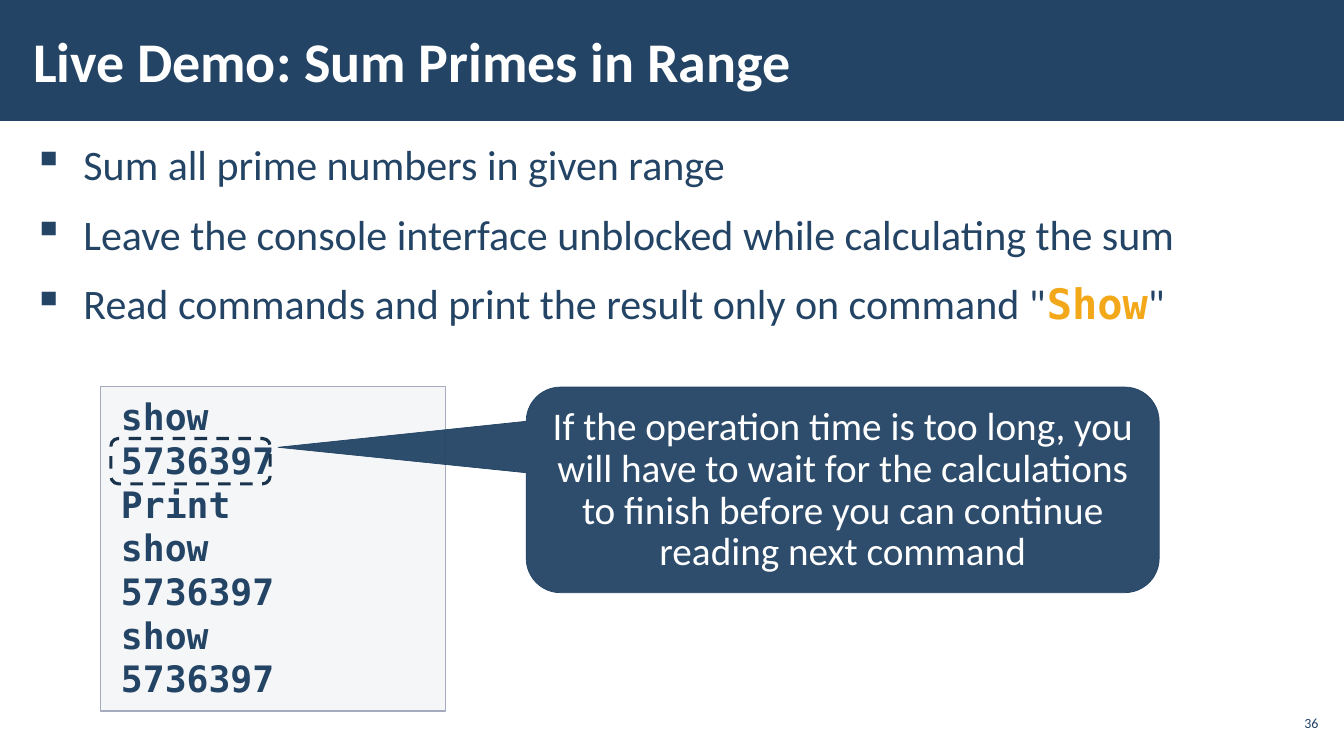
import pptx
import pptx.util
import pptx.oxml
import pptx.dml.color
import pptx.enum.dml
import pptx.enum.shapes
import pptx.enum.text
import lxml.etree

Pt = pptx.util.Pt
SHAPE = pptx.enum.shapes.MSO_SHAPE
ALIGN = pptx.enum.text.PP_ALIGN
ANCHOR = pptx.enum.text.MSO_ANCHOR

COLORS = {"navy": "234465", "dark": "1A334C", "white": "FFFFFF", "orange": "F2A819",
          "panel": "C2C7D2", "panel line": "A3ABBC"}
TEXT_FONT, CODE_FONT = "Calibri", "DejaVu Sans Mono"

TITLE = "Live Demo: Sum Primes in Range"
POINTS = [
    ["Sum all prime numbers in given range"],
    ["Leave the console interface unblocked while calculating the sum"],
    ['Read commands and print the result only on command "', ("Show", "keyword"), '"'],
]
CONSOLE = ["show", "5736397", "Print", "show", "5736397", "show", "5736397"]
CALLOUT = ("If the operation time is too long, you will have to wait for the calculations "
           "to finish before you can continue reading next command")
PAGE_NUMBER = "36"

STYLES = {
    "title": (TEXT_FONT, 40, "white", True),
    "point": (TEXT_FONT, 30, "navy", False),
    "keyword": (CODE_FONT, 30, "orange", True),
    "console": (CODE_FONT, 26, "navy", True),
    "callout": (TEXT_FONT, 28, "white", False),
    "number": (TEXT_FONT, 10, "navy", False),
}

PAGE_WIDTH, PAGE_HEIGHT = 960, 540
HEADER_AREA = (0, 0, PAGE_WIDTH, 86.4)
TITLE_AREA = (15.12, 7.92, 748.8, 69.84)
POINTS_AREA = (15.12, 94.32, 930.24, 409.68)
NUMBER_AREA = (910.8, 504, 33.84, 24.48)
CONSOLE_AREA = (72, 276, 246.24, 231.84)
RESULT_AREA = (79.2, 313.2, 113.76, 32.4)
CALLOUT_AREA = (375.84, 276.48, 452.16, 146.88)
CALLOUT_TAIL = (-0.892, -0.207, 0.167)


def rgb(name):
    return pptx.dml.color.RGBColor.from_string(COLORS[name])


def set_all(target, values):
    for name, value in values.items():
        setattr(target, name, value)


def add_text_box(slide, area):
    return slide.shapes.add_textbox(*map(Pt, area))


def add_panel(slide, kind, area, fill=None, opacity=100, line=None, line_width=1):
    shape = slide.shapes.add_shape(kind, *map(Pt, area))
    shape.shadow.inherit = False
    if fill:
        shape.fill.solid()
        shape.fill.fore_color.rgb = rgb(fill)
        if opacity < 100:
            color = shape.fill._xPr.find(".//" + pptx.oxml.ns.qn("a:srgbClr"))
            alpha = lxml.etree.SubElement(color, pptx.oxml.ns.qn("a:alpha"))
            alpha.set("val", str(opacity * 1000))
    else:
        shape.fill.background()
    if line:
        shape.line.color.rgb = rgb(line)
        shape.line.width = Pt(line_width)
    else:
        shape.line.fill.background()
    return shape


def write(shape, paragraphs, style, inset, anchor=ANCHOR.TOP, indent=(0, 0), bullet=None,
          **para_format):
    """Fill a shape; each paragraph is a list of strings or (string, style) pairs."""
    side, edge = map(Pt, inset)
    frame = shape.text_frame
    set_all(frame, {"word_wrap": True, "vertical_anchor": anchor, "margin_left": side,
                    "margin_right": side, "margin_top": edge, "margin_bottom": edge})
    for index, pieces in enumerate(paragraphs):
        para = frame.add_paragraph() if index else frame.paragraphs[0]
        set_all(para, {"alignment": ALIGN.LEFT, **para_format})
        properties = para._p.get_or_add_pPr()
        for name, length in zip(("marL", "indent"), indent):
            properties.set(name, str(Pt(length)))
        if bullet:
            mark = lxml.etree.SubElement(properties, pptx.oxml.ns.qn("a:buChar"))
            mark.set("char", bullet)
        for piece in pieces:
            text, run_style = (piece, style) if isinstance(piece, str) else piece
            font, size, color, bold = STYLES[run_style]
            span = para.add_run()
            span.text = text
            set_all(span.font, {"name": font, "size": Pt(size), "bold": bold})
            span.font.color.rgb = rgb(color)


def main():
    deck = pptx.Presentation()
    set_all(deck, {"slide_width": Pt(PAGE_WIDTH), "slide_height": Pt(PAGE_HEIGHT)})
    slide = deck.slides.add_slide(deck.slide_layouts[6])

    add_panel(slide, SHAPE.RECTANGLE, HEADER_AREA, "navy")
    write(add_text_box(slide, POINTS_AREA), POINTS, "point", (8.5, 2.83),
          indent=(36, -36), bullet="▪", line_spacing=1.05,
          space_before=Pt(6), space_after=Pt(6))
    write(add_text_box(slide, TITLE_AREA), [[TITLE]], "title", (8.5, 2.83), ANCHOR.MIDDLE)
    write(add_text_box(slide, NUMBER_AREA), [[PAGE_NUMBER]], "number", (2.83, 2.83),
          ANCHOR.MIDDLE, alignment=ALIGN.RIGHT)

    console = add_panel(slide, SHAPE.RECTANGLE, CONSOLE_AREA, "panel", 15, "panel line")
    write(console, [[row] for row in CONSOLE], "console", (0, 5.67), indent=(14.4, 0))

    result_frame = add_panel(slide, SHAPE.ROUNDED_RECTANGLE, RESULT_AREA,
                             line="dark", line_width=2.25)
    result_frame.line.dash_style = pptx.enum.dml.MSO_LINE.DASH

    callout = add_panel(slide, SHAPE.ROUNDED_RECTANGULAR_CALLOUT, CALLOUT_AREA,
                        "navy", 95, "navy", 0.5)
    for index, value in enumerate(CALLOUT_TAIL):
        callout.adjustments[index] = value
    write(callout, [[CALLOUT]], "callout", (7.2, 5.67), ANCHOR.MIDDLE,
          alignment=ALIGN.CENTER, line_spacing=Pt(30))

    deck.save("out.pptx")


if __name__ == "__main__":
    main()
